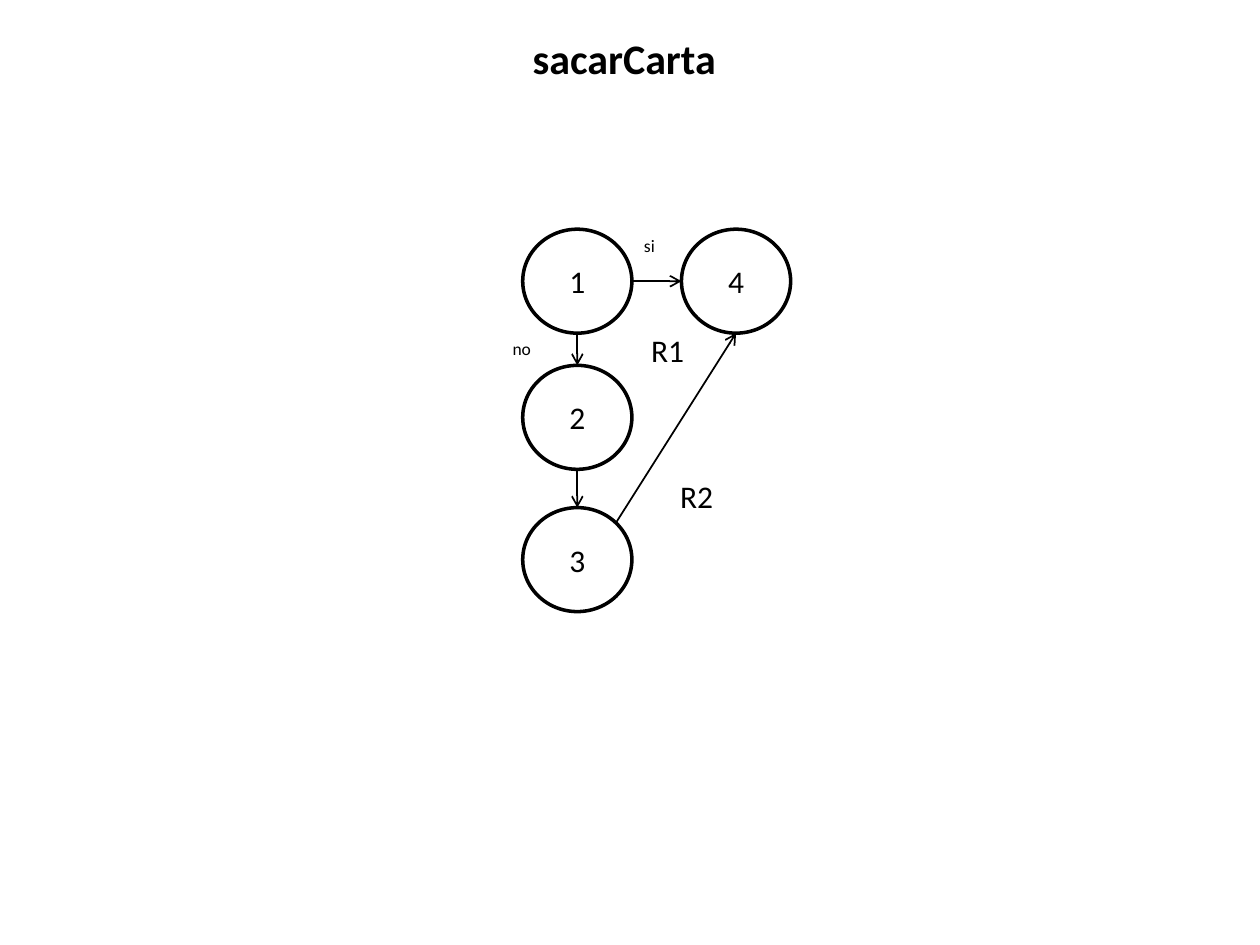
from math import cos, pi, sin
from lxml import etree
from pptx import Presentation
from pptx.dml.color import RGBColor
from pptx.enum.shapes import MSO_CONNECTOR, MSO_SHAPE
from pptx.enum.text import MSO_ANCHOR, PP_ALIGN
from pptx.oxml.ns import qn
from pptx.util import Pt

OVAL, STRAIGHT = MSO_SHAPE.OVAL, MSO_CONNECTOR.STRAIGHT
LEFT, CENTER = PP_ALIGN.LEFT, PP_ALIGN.CENTER
TOP, MIDDLE = MSO_ANCHOR.TOP, MSO_ANCHOR.MIDDLE

# Content
FONT = "Calibri"
COLORS = {"ink": "000000", "background": "FFFFFF"}
TITLE = "sacarCarta"
NODE_W, NODE_H = 62.4, 59.4
# Node: centre x, centre y
NODES = {
    "1": (329.9, 160.7),
    "4": (420.6, 160.7),
    "2": (329.9, 238.5),
    "3": (329.9, 319.8),
}
# Edge: from node, angle, to node, angle (degrees clockwise from the right)
EDGES = [
    ("1", 0, "4", 180),
    ("1", 90, "2", 270),
    ("2", 90, "3", 270),
    ("3", -45, "4", 90),
]
# Label: text, size, left, top, width, height
LABELS = [
    ("si", 10, 360.9, 131, 20.9, 19.4),
    ("no", 10, 285.8, 189.4, 25.2, 19.4),
    ("R2", 18, 381.6, 269.3, 33.8, 28.8),
    ("R1", 18, 365, 185.8, 33.8, 28.8),
]


def color(name):
    return RGBColor.from_string(COLORS[name])


def write(shape, text, size=18, bold=False, align=LEFT, anchor=TOP, wrap=True):
    frame = shape.text_frame
    frame.word_wrap = wrap
    frame.vertical_anchor = anchor
    paragraph = frame.paragraphs[0]
    paragraph.alignment = align
    run = paragraph.add_run()
    run.text = text
    run.font.name = FONT
    run.font.size = Pt(size)
    run.font.bold = bold
    run.font.color.rgb = color("ink")


def rim_point(node, degrees):
    x, y = NODES[node]
    angle = degrees * pi / 180
    return Pt(x + NODE_W / 2 * cos(angle)), Pt(y + NODE_H / 2 * sin(angle))


prs = Presentation()
prs.slide_width, prs.slide_height = Pt(720), Pt(540)
slide = prs.slides.add_slide(prs.slide_layouts[5])
slide.background.fill.solid()
slide.background.fill.fore_color.rgb = color("background")
shapes = slide.shapes

# Title
title = shapes.title
title.left, title.top, title.width, title.height = Pt(75.6), Pt(15.1), Pt(562.3), Pt(36)
write(title, TITLE, size=24, bold=True, align=CENTER)

# Nodes
for number, (x, y) in NODES.items():
    node = shapes.add_shape(OVAL, Pt(x - NODE_W / 2), Pt(y - NODE_H / 2),
                            Pt(NODE_W), Pt(NODE_H))
    node.shadow.inherit = False
    node.fill.background()
    node.line.color.rgb = color("ink")
    node.line.width = Pt(2)
    write(node, number, align=CENTER, anchor=MIDDLE)

# Arrows
for start, start_angle, end, end_angle in EDGES:
    arrow = shapes.add_connector(STRAIGHT, *rim_point(start, start_angle),
                                 *rim_point(end, end_angle))
    arrow.line.color.rgb = color("ink")
    arrow.line.width = Pt(1)
    etree.SubElement(arrow.line._get_or_add_ln(), qn("a:tailEnd"), type="arrow")
    etree.SubElement(arrow._element.spPr, qn("a:effectLst"))

# Labels
for text, size, *box in LABELS:
    label = shapes.add_textbox(*map(Pt, box))
    write(label, text, size=size, wrap=False)

prs.save("out.pptx")
